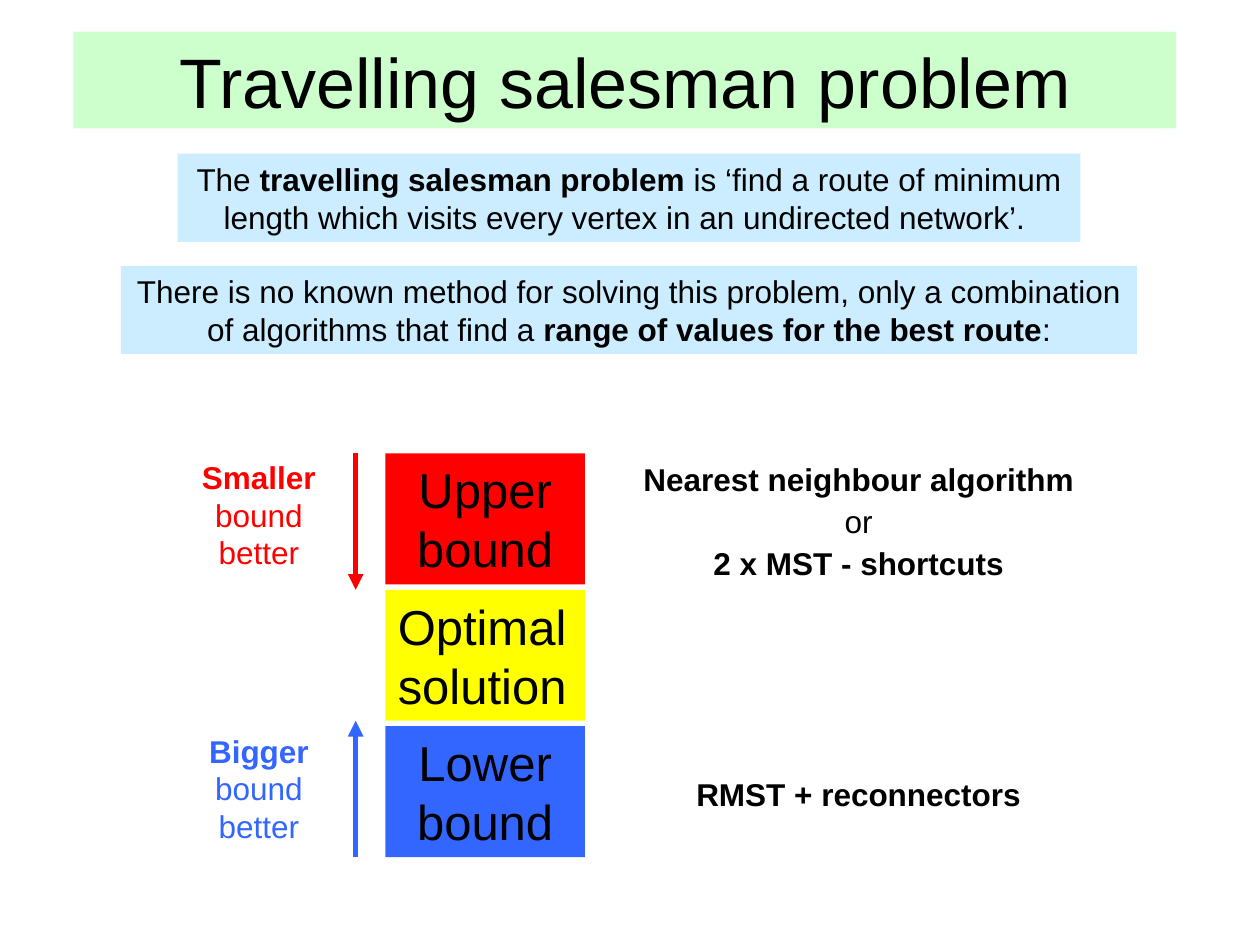
from dataclasses import dataclass

from lxml.etree import SubElement
from pptx import Presentation
from pptx.dml.color import RGBColor
from pptx.enum.shapes import MSO_CONNECTOR, MSO_SHAPE
from pptx.enum.text import MSO_ANCHOR, PP_ALIGN
from pptx.oxml.ns import qn
from pptx.util import Cm, Pt


@dataclass(frozen=True)
class Theme:
    """Colours, typeface and type sizes of the slide."""
    font: str = "Arial"
    ink: str = "000000"
    heading: str = "CCFFCC"
    statement: str = "CCECFF"
    upper: str = "FF0000"
    optimal: str = "FFFF00"
    lower: str = "3366FF"
    title_size: int = 40
    bound_size: int = 28
    body_size: int = 18
    arrow_width: int = 3


class SlideBuilder:
    """Draws styled elements on the current slide, with lengths in centimetres."""

    def __init__(self, slide, theme):
        """Keep the slide and its theme."""
        self.slide = slide
        self.theme = theme

    def add_runs(self, shape, runs, size, color, align, anchor, wrap=True):
        """Fill a shape with one paragraph of (text, bold) runs."""
        frame = shape.text_frame
        frame.word_wrap = wrap
        frame.vertical_anchor = anchor
        frame.margin_left = frame.margin_right = Cm(0.25)
        frame.margin_top = frame.margin_bottom = Cm(0.13)
        paragraph = frame.paragraphs[0]
        paragraph.alignment = align
        for text, bold in runs:
            run = paragraph.add_run()
            run.text = text
            run.font.name = self.theme.font
            run.font.size = Pt(size)
            run.font.bold = bold
            run.font.color.rgb = RGBColor.from_string(color)

    def panel(self, box, fill, runs, size, align=PP_ALIGN.CENTER, anchor=MSO_ANCHOR.TOP):
        """Add a filled rectangle with text."""
        shape = self.slide.shapes.add_shape(MSO_SHAPE.RECTANGLE, *map(Cm, box))
        shape.shadow.inherit = False
        shape.fill.solid()
        shape.fill.fore_color.rgb = RGBColor.from_string(fill)
        shape.line.fill.background()
        self.add_runs(shape, runs, size, self.theme.ink, align, anchor)

    def label(self, box, runs, color, anchor=MSO_ANCHOR.TOP, wrap=True):
        """Add a centred text box."""
        shape = self.slide.shapes.add_textbox(*map(Cm, box))
        self.add_runs(shape, runs, self.theme.body_size, color, PP_ALIGN.CENTER, anchor, wrap)

    def arrow(self, x, start, end, color):
        """Add a vertical arrow pointing at its end."""
        connector = self.slide.shapes.add_connector(
            MSO_CONNECTOR.STRAIGHT, Cm(x), Cm(start), Cm(x), Cm(end))
        connector.line.color.rgb = RGBColor.from_string(color)
        connector.line.width = Pt(self.theme.arrow_width)
        properties = connector.element.spPr
        SubElement(properties.find(qn("a:ln")), qn("a:tailEnd"), type="triangle")
        SubElement(properties, qn("a:effectLst"))


def main():
    """Build the travelling salesman slide and save it."""
    presentation = Presentation()
    presentation.slide_width, presentation.slide_height = Cm(25.4), Cm(19.05)
    theme = Theme()
    builder = SlideBuilder(
        presentation.slides.add_slide(presentation.slide_layouts[6]), theme)

    builder.panel((1.48, 0.64, 22.23, 1.95), theme.heading,
                  [("Travelling salesman problem", False)], theme.title_size)

    definition = [
        ("The ", False),
        ("travelling salesman problem ", True),
        ("is ‘find a route of minimum length which visits every vertex "
         "in an undirected network’. ", False),
    ]
    approach = [
        ("There is no known method for solving this problem, only a combination "
         "of algorithms that find a ", False),
        ("range of values for the best route", True),
        (":", False),
    ]
    for top, width, statement in ((3.1, 18.2, definition), (5.36, 20.48, approach)):
        builder.panel(((25.4 - width) / 2 - 0.02, top, width, 1.78), theme.statement,
                      statement, theme.body_size, anchor=MSO_ANCHOR.MIDDLE)

    ladder_top, step, bound_height = 9.14, 2.75, 2.64
    ladder = (
        ("Upper bound", theme.upper, PP_ALIGN.CENTER),
        ("Optimal solution", theme.optimal, PP_ALIGN.LEFT),
        ("Lower bound", theme.lower, PP_ALIGN.CENTER),
    )
    for level, (name, color, align) in enumerate(ladder):
        builder.panel((7.77, ladder_top + level * step, 4.02, bound_height), color,
                      [(name, False)], theme.bound_size, align)

    arrow_x = 7.17
    ladder_bottom = ladder_top + 2 * step + bound_height
    builder.arrow(arrow_x, ladder_top, ladder_top + step, theme.upper)
    builder.arrow(arrow_x, ladder_bottom, ladder_bottom - step, theme.lower)

    for top, trend, color in ((9.1, "Smaller", theme.upper), (14.62, "Bigger", theme.lower)):
        builder.label((3.8, top, 2.84, 2.54),
                      [(trend, True), (" bound better", False)], color)

    method_centre = 17.31
    methods = (
        (9.14, 9.34, "Nearest neighbour algorithm", True),
        (9.99, 1.27, "or", False),
        (10.83, 6.53, "2 x MST - shortcuts", True),
        (15.5, 7.22, "RMST + reconnectors", True),
    )
    for top, width, method, bold in methods:
        builder.label((method_centre - width / 2, top, width, 1.02), [(method, bold)],
                      theme.ink, MSO_ANCHOR.MIDDLE, wrap=False)

    presentation.save("out.pptx")


if __name__ == "__main__":
    main()
